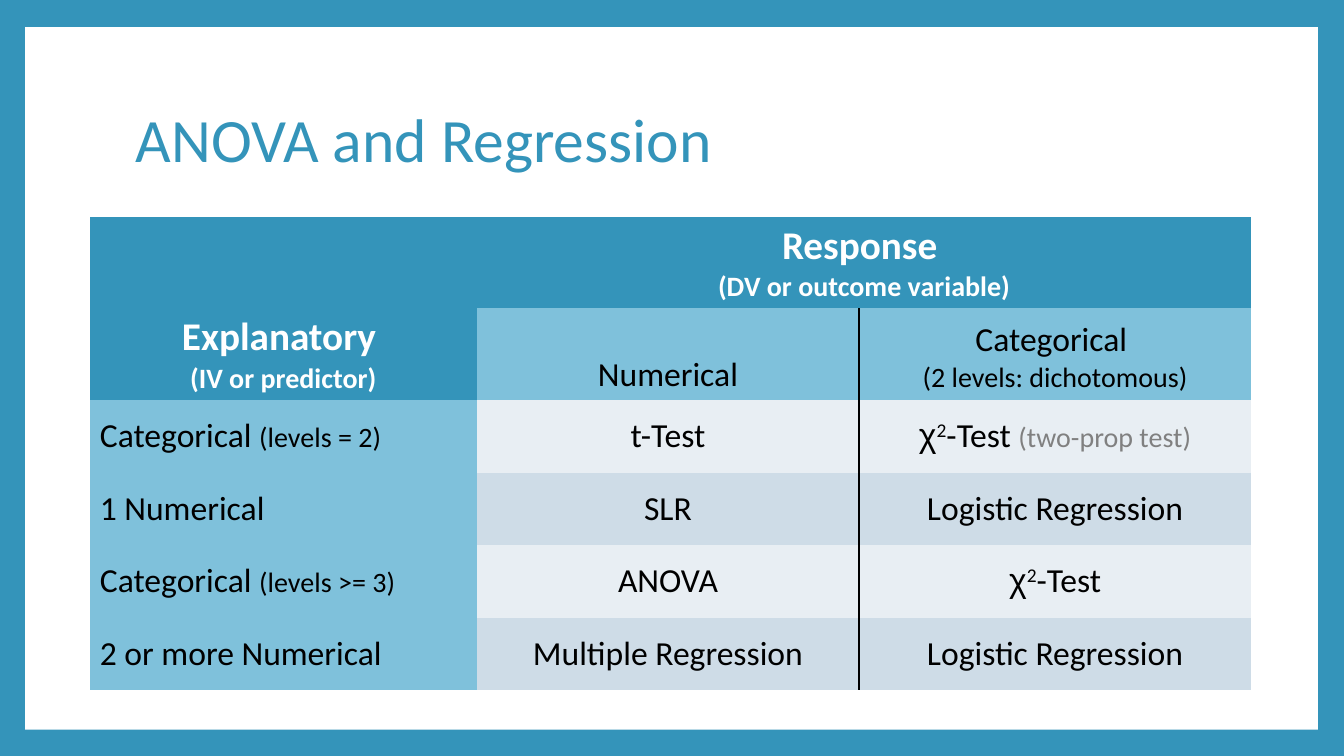
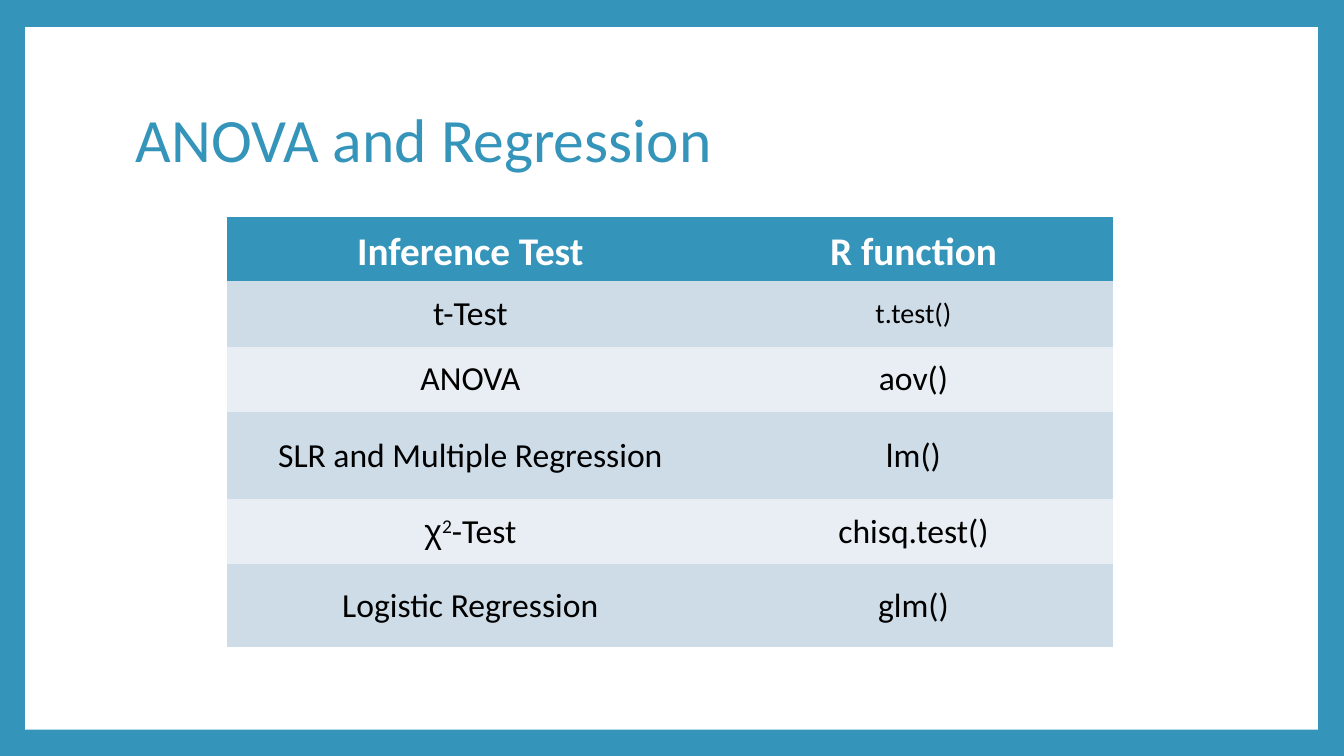
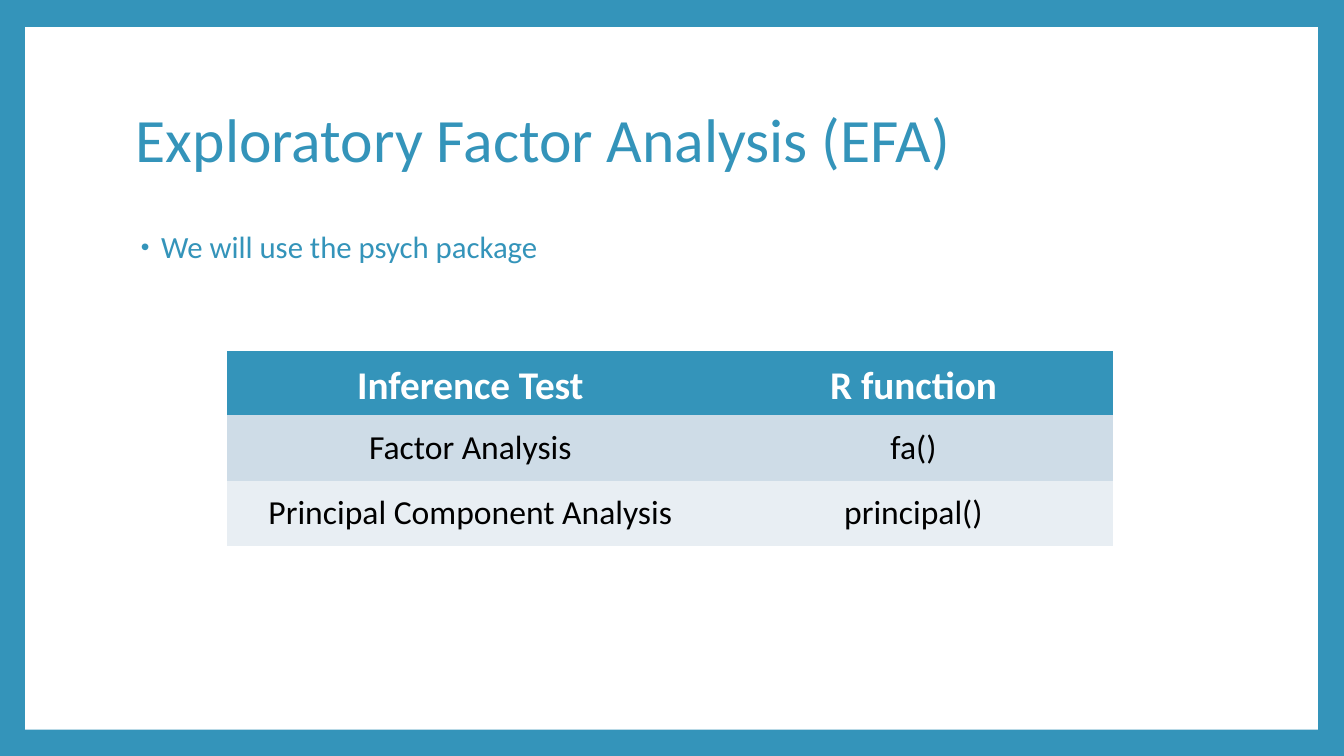
from dataclasses import dataclass

from lxml import etree
from pptx import Presentation
from pptx.dml.color import RGBColor as RGB
from pptx.enum.shapes import MSO_SHAPE as SHAPE
from pptx.enum.text import MSO_ANCHOR as ANCHOR, PP_ALIGN as ALIGN
from pptx.oxml.ns import qn
from pptx.util import Inches, Pt


@dataclass(frozen=True)
class Theme:
    accent: str = "3494BA"
    label: str = "7FC1DB"
    light: str = "E8EEF3"
    dark: str = "CEDCE7"
    white: str = "FFFFFF"
    black: str = "000000"
    grey: str = "808080"
    font: str = "Calibri"
    symbol_font: str = "Arial"
    title: int = 44
    head: int = 28
    cell: int = 24
    body: int = 22
    note: int = 20


T = Theme()
FRAME = (0.25, 0.27, 12.82, 6.97)
TITLE = (1.25, 0.67, 10.8, 1.48)
BODY = (1.25, 2.25, 10.8, 4.42)
NO_STYLE = "{2D5ABB26-0587-4C30-8999-92F81FD0307C}"

PLAIN = {"name": T.font, "size": T.cell, "color": T.black, "bold": False}
HEAD = PLAIN | {"size": T.head, "color": T.white, "bold": True}
HEAD_NOTE = HEAD | {"size": T.note}
NOTE = PLAIN | {"size": T.note}
GREY_NOTE = NOTE | {"color": T.grey}
CHI = PLAIN | {"name": T.symbol_font}
SUPER = PLAIN | {"baseline": 30000}
TITLE_TEXT = PLAIN | {"size": T.title, "color": T.accent}
BODY_TEXT = TITLE_TEXT | {"size": T.body}

CHI_TEST = [("χ", CHI), ("2", SUPER), ("-Test", PLAIN)]


def add_run(p, text, style):
    r = p.add_run()
    r.text = text
    r.font.color.rgb = RGB.from_string(style["color"])
    r.font.size = Pt(style["size"])
    for name in ("name", "bold"):
        setattr(r.font, name, style[name])
    if "baseline" in style:
        r.font._element.set("baseline", str(style["baseline"]))


def write(tf, paragraphs, style, align=ALIGN.LEFT):
    for i, runs in enumerate(paragraphs):
        p = tf.add_paragraph() if i else tf.paragraphs[0]
        p.alignment = align
        for text, run_style in [(runs, style)] if isinstance(runs, str) else runs:
            add_run(p, text, run_style)


def add_text(slide, box, text, style, anchor):
    tf = slide.shapes.add_textbox(*map(Inches, box)).text_frame
    tf.word_wrap = True
    tf.vertical_anchor = anchor
    write(tf, [text], style)
    p = tf.paragraphs[0]
    p.line_spacing = 0.9
    return p


def add_bullet(slide, box, text):
    p = add_text(slide, box, text, BODY_TEXT, ANCHOR.TOP)
    p.space_before = Pt(14)
    pPr = p._p.get_or_add_pPr()
    for key, value in {"marL": 0.25, "indent": -0.2}.items():
        pPr.set(key, str(Inches(value)))
    color = etree.SubElement(pPr, qn("a:buClr"))
    etree.SubElement(color, qn("a:srgbClr"), val=T.accent)
    etree.SubElement(pPr, qn("a:buSzPct"), val="80000")
    etree.SubElement(pPr, qn("a:buFont"), typeface=T.symbol_font)
    etree.SubElement(pPr, qn("a:buChar"), char="•")


def add_page(prs, title):
    slide = prs.slides.add_slide(prs.slide_layouts[6])
    sp = slide.shapes.add_shape(SHAPE.RECTANGLE, *map(Inches, FRAME))
    sp.shadow.inherit = False
    sp.fill.solid()
    sp.fill.fore_color.rgb = RGB.from_string(T.white)
    sp.line.fill.background()
    add_text(slide, TITLE, title, TITLE_TEXT, ANCHOR.MIDDLE)
    return slide


def add_grid(slide, left, top, widths, heights):
    box = (left, top, sum(widths), sum(heights))
    frame = slide.shapes.add_table(len(heights), len(widths), *map(Inches, box))
    table = frame.table
    table._tbl.tblPr.find(qn("a:tableStyleId")).text = NO_STYLE
    table.first_row = table.horz_banding = False
    for tracks, sizes, side in ((table.columns, widths, "width"), (table.rows, heights, "height")):
        for track, size in zip(tracks, sizes):
            setattr(track, side, Inches(size))
    return table


def add_border(cell, side):
    ln = etree.SubElement(cell._tc.get_or_add_tcPr(), qn(f"a:{side}"), w=str(Pt(1)))
    fill = etree.SubElement(ln, qn("a:solidFill"))
    etree.SubElement(fill, qn("a:srgbClr"), val=T.black)


def fill_cell(cell, paragraphs, fill, style=PLAIN, anchor=ANCHOR.MIDDLE, align=ALIGN.CENTER):
    cell.fill.solid()
    cell.fill.fore_color.rgb = RGB.from_string(fill)
    cell.vertical_anchor = anchor
    write(cell.text_frame, paragraphs, style, align)


def add_test_matrix(slide, left, top):
    rows = [
        ([("Categorical ", PLAIN), ("(levels = 2)", NOTE)], "t-Test",
         CHI_TEST[:2] + [("-Test ", PLAIN), ("(two-prop test)", GREY_NOTE)]),
        ("1 Numerical", "SLR", "Logistic Regression"),
        ([("Categorical ", PLAIN), ("(levels >= 3)", NOTE)], "ANOVA", CHI_TEST),
        ("2 or more Numerical", "Multiple Regression", "Logistic Regression"),
    ]
    table = add_grid(slide, left, top, (3.84, 3.79, 3.89), [0.91] * 2 + [0.72] * len(rows))
    for r in range(1, len(rows) + 2):
        add_border(table.cell(r, 1), "lnR")
        add_border(table.cell(r, 2), "lnL")

    table.cell(0, 1).merge(table.cell(0, 2))
    fill_cell(table.cell(0, 0), [], T.accent)
    fill_cell(table.cell(0, 1), ["Response ", [("(DV or outcome variable)", HEAD_NOTE)]],
              T.accent, HEAD, ANCHOR.TOP)
    fill_cell(table.cell(1, 0), ["Explanatory ", [("(IV or predictor)", HEAD_NOTE)]],
              T.accent, HEAD, ANCHOR.BOTTOM)
    fill_cell(table.cell(1, 1), ["Numerical"], T.label, anchor=ANCHOR.BOTTOM)
    fill_cell(table.cell(1, 2), ["Categorical ", [("(2 levels: dichotomous)", NOTE)]],
              T.label, anchor=ANCHOR.BOTTOM)

    for r, (label, *tests) in enumerate(rows, 2):
        fill_cell(table.cell(r, 0), [label], T.label, align=ALIGN.LEFT)
        for c, test in enumerate(tests, 1):
            fill_cell(table.cell(r, c), [test], T.dark if r % 2 else T.light)


def add_function_table(slide, left, top, rows, heights):
    table = add_grid(slide, left, top, (4.83, 3.96), [0.64, *heights])
    for c, text in enumerate(("Inference Test", "R function")):
        fill_cell(table.cell(0, c), [text], T.accent, HEAD, ANCHOR.BOTTOM)
    for r, row in enumerate(rows, 1):
        for c, text in enumerate(row):
            fill_cell(table.cell(r, c), [text], T.dark if r % 2 else T.light)


def main():
    prs = Presentation()
    prs.slide_width, prs.slide_height = Inches(13.33), Inches(7.5)
    background = prs.slide_master.background.fill
    background.solid()
    background.fore_color.rgb = RGB.from_string(T.accent)

    add_test_matrix(add_page(prs, "ANOVA and Regression"), 0.89, 2.15)

    add_function_table(add_page(prs, "ANOVA and Regression"), 2.25, 2.15, [
        ("t-Test", [("t.test()", NOTE)]),
        ("ANOVA", "aov()"),
        ("SLR and Multiple Regression", "lm()"),
        (CHI_TEST, "chisq.test()"),
        ("Logistic Regression", "glm()"),
    ], (0.65, 0.65, 0.86, 0.65, 0.82))

    slide = add_page(prs, "Exploratory Factor Analysis (EFA)")
    add_bullet(slide, BODY, "We will use the psych package")
    add_function_table(slide, 2.25, 3.48, [
        ("Factor Analysis", "fa()"),
        ("Principal Component Analysis", "principal()"),
    ], (0.65, 0.65))

    prs.save("out.pptx")


if __name__ == "__main__":
    main()
